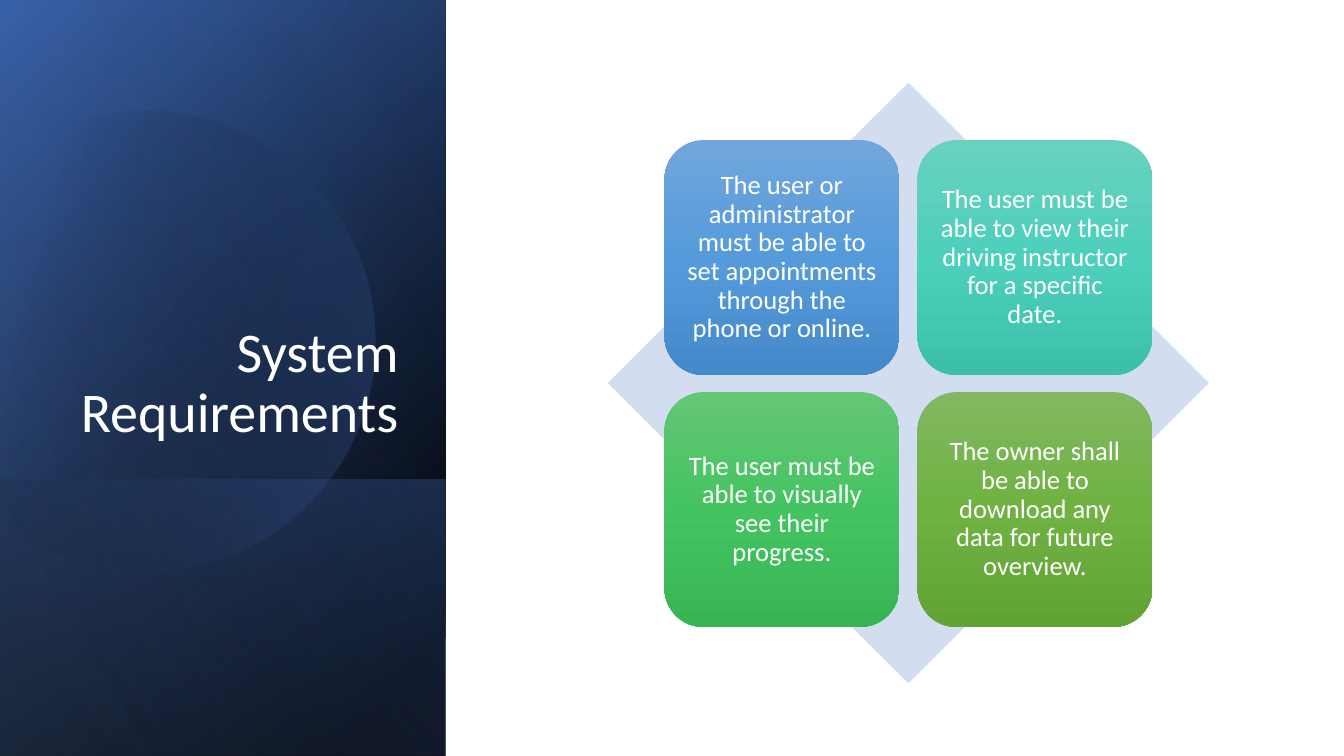
import math

import pptx
import pptx.dml.color
import pptx.enum.shapes
import pptx.enum.text
import pptx.oxml
import pptx.oxml.ns
import pptx.util

Inches = pptx.util.Inches
Kind = pptx.enum.shapes.MSO_SHAPE
Anchor = pptx.enum.text.MSO_ANCHOR
Align = pptx.enum.text.PP_ALIGN

PANELS = [
    ((-1.54, 1.54, 7.5, 4.42), [(8, "000000", 100), (100, "2F5597", 100)], 50),
    ((-1.54, 1.55, 7.5, 4.42), [(0, "000000", 0), (99, "4472C4", 46)], 30),
    ((0.84, 3.92, 2.74, 4.42), [(2, "4472C4", 29), (100, "000000", 30)], 130),
]
SHEEN = ((-1.54, 1.54, 7.5, 4.42), [(0, "000000", 0), (99, "8FAADC", 11)], 120)
DISC = (-0.55, 1.06, 4.27, 4.57)
ROUTE = [
    ("moveTo", [(1.49, 1.1)]),
    ("cubicBezTo", [(2.46, 1.12), (3.35, 1.77), (3.63, 2.75)]),
    ("cubicBezTo", [(3.98, 3.97), (3.28, 5.23), (2.07, 5.58)]),
    ("cubicBezTo", [(1.31, 5.8), (0.53, 5.61), (-0.03, 5.14)]),
    ("lnTo", [(-0.15, 5.03)]),
    ("lnTo", [(-0.15, 1.75)]),
    ("lnTo", [(0, 1.61)]),
    ("cubicBezTo", [(0.23, 1.42), (0.5, 1.28), (0.8, 1.19)]),
    ("cubicBezTo", [(1.03, 1.13), (1.26, 1.1), (1.49, 1.1)]),
]
TILES = [
    ("The user or administrator must be able to set appointments through the phone or online.",
     ("71A6DB", "559BDB", "448ACA")),
    ("The user must be able to view their driving instructor for a specific date.",
     ("6AD1C0", "4CD0BC", "3CC0AC")),
    ("The user must be able to visually see their progress.",
     ("64C677", "44C460", "36B552")),
    ("The owner shall be able to download any data for future overview.",
     ("81B861", "6FB242", "62A336")),
]


def tint(target, color):
    """Colour a fill or font from a hex string."""
    rgb = pptx.dml.color.RGBColor.from_string(color)
    if hasattr(target, "solid"):
        target.solid()
        target.fore_color.rgb = rgb
    else:
        target.color.rgb = rgb


def shade(shape, stops, angle):
    """Fill a shape with a linear gradient of (place, colour, opacity) stops."""
    marks = "".join(
        f'<a:gs pos="{place * 1000}"><a:srgbClr val="{color}">'
        f'<a:alpha val="{alpha * 1000}"/></a:srgbClr></a:gs>'
        for place, color, alpha in stops)
    grad = pptx.oxml.parse_xml(
        f'<a:gradFill {pptx.oxml.ns.nsdecls("a")} rotWithShape="1">'
        f'<a:gsLst>{marks}</a:gsLst><a:lin ang="{angle * 60000}" scaled="0"/></a:gradFill>')
    shape.fill.background()
    props = shape._element.spPr
    props.replace(props.find(pptx.oxml.ns.qn("a:noFill")), grad)


def plain(shape):
    """Remove the line and shadow of a shape."""
    shape.line.fill.background()
    shape.shadow.inherit = False
    return shape


def block(shapes, kind, box):
    """Add a plain preset shape."""
    return plain(shapes.add_shape(kind, *map(Inches, box)))


def panel(shapes, box, stops, angle):
    """Add a turned and mirrored gradient panel."""
    shape = block(shapes, Kind.RECTANGLE, box)
    shape.rotation = 90
    shape._element.spPr.xfrm.set("flipH", "1")
    shade(shape, stops, angle)


def untilt(point, turn):
    """Give a slide point as an XML point inside the tilted disc box."""
    left, top, width, height = DISC
    cos, sin = math.cos(math.radians(turn)), math.sin(math.radians(turn))
    dx, dy = point[0] - left - width / 2, point[1] - top - height / 2
    x = Inches(width / 2 + dx * cos - dy * sin)
    y = Inches(height / 2 + dx * sin + dy * cos)
    return f'<a:pt x="{x}" y="{y}"/>'


def disc(shapes, turn=16.1):
    """Add the cut circle, tilted about the middle of its box."""
    left, top, width, height = map(Inches, DISC)
    form = shapes.build_freeform(left, top)
    form.add_line_segments([(left + width, top), (left + width, top + height)])
    shape = plain(form.convert_to_shape())
    steps = "".join(
        f'<a:{name}>{"".join(untilt(point, turn) for point in points)}</a:{name}>'
        for name, points in ROUTE)
    outline = pptx.oxml.parse_xml(
        f'<a:path {pptx.oxml.ns.nsdecls("a")} w="{width}" h="{height}">{steps}<a:close/></a:path>')
    holder = shape._element.spPr.find(".//" + pptx.oxml.ns.qn("a:pathLst"))
    holder.replace(holder[0], outline)
    shape.rotation = 360 - turn
    shade(shape, [(29, "000000", 0), (100, "4472C4", 43)], 30)


def write(shape, text, size, align, anchor):
    """Set the text of a shape in white."""
    frame = shape.text_frame
    frame.text = text
    frame.word_wrap = True
    frame.vertical_anchor = anchor
    para = frame.paragraphs[0]
    para.alignment = align
    para.line_spacing = 0.9
    font = para.runs[0].font
    font.name = "Calibri"
    font.size = pptx.util.Pt(size)
    tint(font, "FFFFFF")


def tile(shapes, index, text, colors):
    """Add one rounded tile of the two by two grid."""
    row, col = divmod(index, 2)
    shape = block(shapes, Kind.ROUNDED_RECTANGLE,
                  (6.59 + 2.51 * col, 1.39 + 2.5 * row, 2.33, 2.33))
    shade(shape, [(50 * i, color, 100) for i, color in enumerate(colors)], 90)
    write(shape, text, 19, Align.CENTER, Anchor.MIDDLE)
    frame = shape.text_frame
    frame.margin_left = frame.margin_right = Inches(0.08)
    frame.margin_top = frame.margin_bottom = Inches(0.08)


def main():
    """Build and save the slide."""
    deck = pptx.Presentation()
    deck.slide_width, deck.slide_height = Inches(13.33), Inches(7.5)
    shapes = deck.slides.add_slide(deck.slide_layouts[6]).shapes
    for item in PANELS:
        panel(shapes, *item)
    disc(shapes)
    panel(shapes, *SHEEN)
    title = shapes.add_textbox(*map(Inches, (0.64, 1.84, 3.41, 2.62)))
    write(title, "System Requirements", 40, Align.RIGHT, Anchor.BOTTOM)
    group = shapes.add_group_shape().shapes
    tint(block(group, Kind.DIAMOND, (6.03, 0.82, 5.96, 5.96)).fill, "D2DEEF")
    for index, (text, colors) in enumerate(TILES):
        tile(group, index, text, colors)
    deck.save("out.pptx")


if __name__ == "__main__":
    main()
